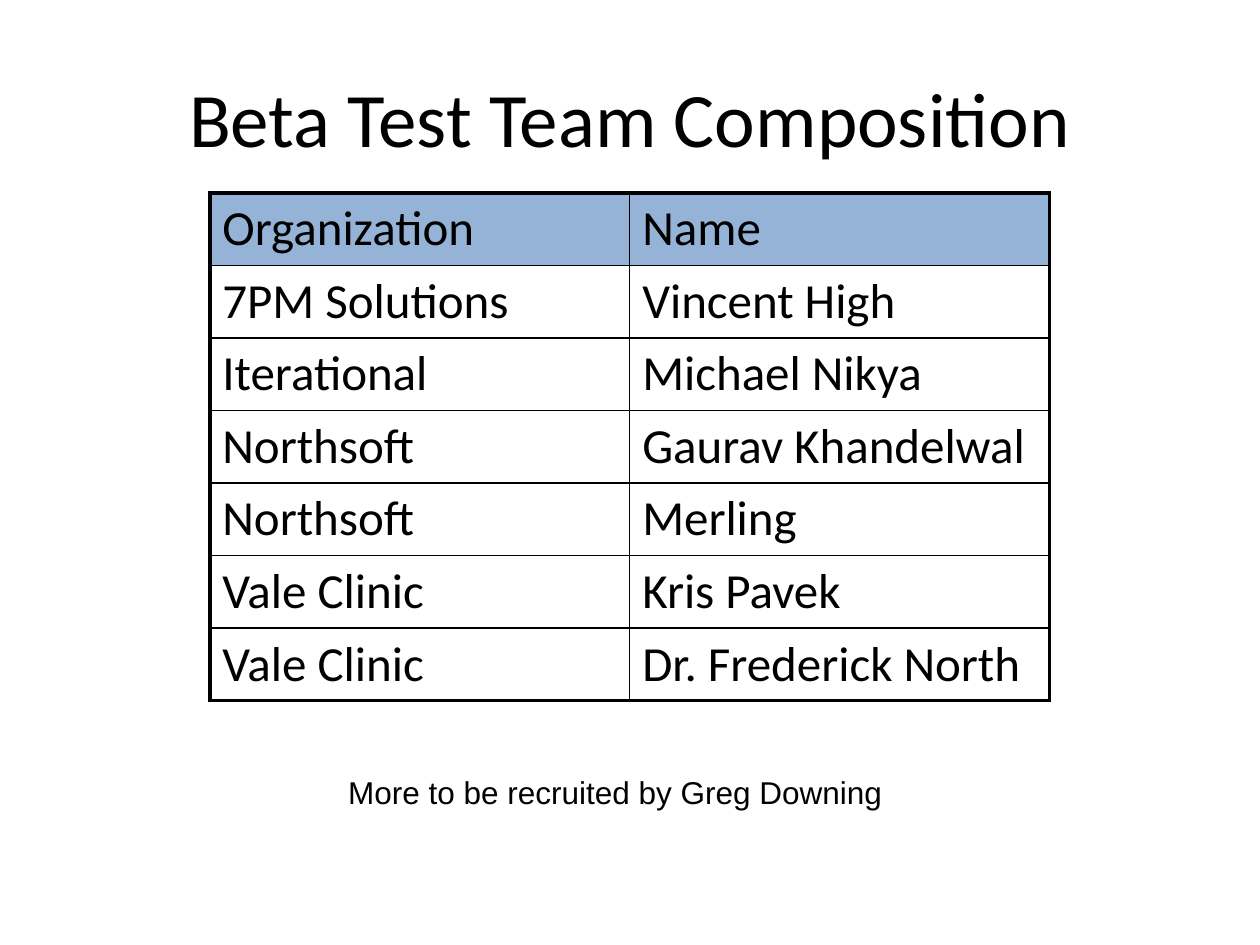
from typing import NamedTuple

from lxml.etree import SubElement
from pptx import Presentation
from pptx.dml.color import RGBColor
from pptx.enum.text import MSO_ANCHOR, PP_ALIGN
from pptx.oxml.ns import qn
from pptx.util import Cm, Pt

BLACK = RGBColor(0x00, 0x00, 0x00)
HEADER_BLUE = RGBColor(0x95, 0xB3, 0xD7)
THIN, THICK = Pt(1), Pt(2.25)
TITLE_FONT = {"name": "Calibri", "size": Pt(44), "bold": False}
CELL_FONT = {"name": "Calibri", "size": Pt(28), "bold": False}
NOTE_FONT = {"name": "Arial", "size": Pt(18), "bold": False}


class Area(NamedTuple):
    left: Cm
    top: Cm
    width: Cm
    height: Cm


class Member(NamedTuple):
    organization: str
    name: str


TITLE_AREA = Area(Cm(1.27), Cm(0.76), Cm(22.86), Cm(3.18))
TABLE_AREA = Area(Cm(4.23), Cm(3.89), Cm(16.93), Cm(8.75))
NOTE_AREA = Area(Cm(6.77), Cm(15.45), Cm(14.6), Cm(1.02))

HEADER = Member("Organization", "Name")
MEMBERS = [
    Member("7PM Solutions", "Vincent High"),
    Member("Iterational", "Michael Nikya"),
    Member("Northsoft", "Gaurav Khandelwal"),
    Member("Northsoft", "Merling"),
    Member("Vale Clinic", "Kris Pavek"),
    Member("Vale Clinic", "Dr. Frederick North"),
]


def write(frame, text: str, font: dict) -> None:
    span = frame.paragraphs[0].add_run()
    span.text = text
    for key, value in font.items():
        setattr(span.font, key, value)
    span.font.color.rgb = BLACK


def draw_borders(cell, widths: dict) -> None:
    """Line the cell's sides; widths must run in the order L, R, T, B."""
    properties = cell._tc.get_or_add_tcPr()
    for side, width in widths.items():
        line = SubElement(properties, qn(f"a:ln{side}"), w=str(width))
        fill = SubElement(line, qn("a:solidFill"))
        SubElement(fill, qn("a:srgbClr"), val=str(BLACK))


def draw_team_table(page, area: Area, rows: list[Member]) -> None:
    last_row, last_column = len(rows) - 1, len(HEADER) - 1
    table = page.shapes.add_table(len(rows), len(HEADER), *area).table
    table.first_row = table.horz_banding = False
    for row, member in enumerate(rows):
        for column, text in enumerate(member):
            cell = table.cell(row, column)
            write(cell.text_frame, text, CELL_FONT)
            draw_borders(cell, {
                "L": THICK if column == 0 else THIN,
                "R": THICK if column == last_column else THIN,
                "T": THICK if row == 0 else THIN,
                "B": THICK if row == last_row else THIN,
            })
            if row == 0:
                cell.fill.solid()
                cell.fill.fore_color.rgb = HEADER_BLUE
            else:
                cell.fill.background()


def draw_title(page, area: Area, text: str) -> None:
    title = page.shapes.title
    title.left, title.top, title.width, title.height = area
    title.text_frame.vertical_anchor = MSO_ANCHOR.MIDDLE
    title.text_frame.paragraphs[0].alignment = PP_ALIGN.CENTER
    write(title.text_frame, text, TITLE_FONT)


def draw_note(page, area: Area, text: str) -> None:
    box = page.shapes.add_textbox(*area)
    box.text_frame.word_wrap = True
    write(box.text_frame, text, NOTE_FONT)


def main() -> None:
    deck = Presentation()
    deck.slide_width, deck.slide_height = Cm(25.4), Cm(19.05)
    page = deck.slides.add_slide(deck.slide_layouts.get_by_name("Title Only"))
    draw_title(page, TITLE_AREA, "Beta Test Team Composition")
    draw_team_table(page, TABLE_AREA, [HEADER, *MEMBERS])
    draw_note(page, NOTE_AREA, "More to be recruited by Greg Downing")
    deck.save("out.pptx")


if __name__ == "__main__":
    main()
